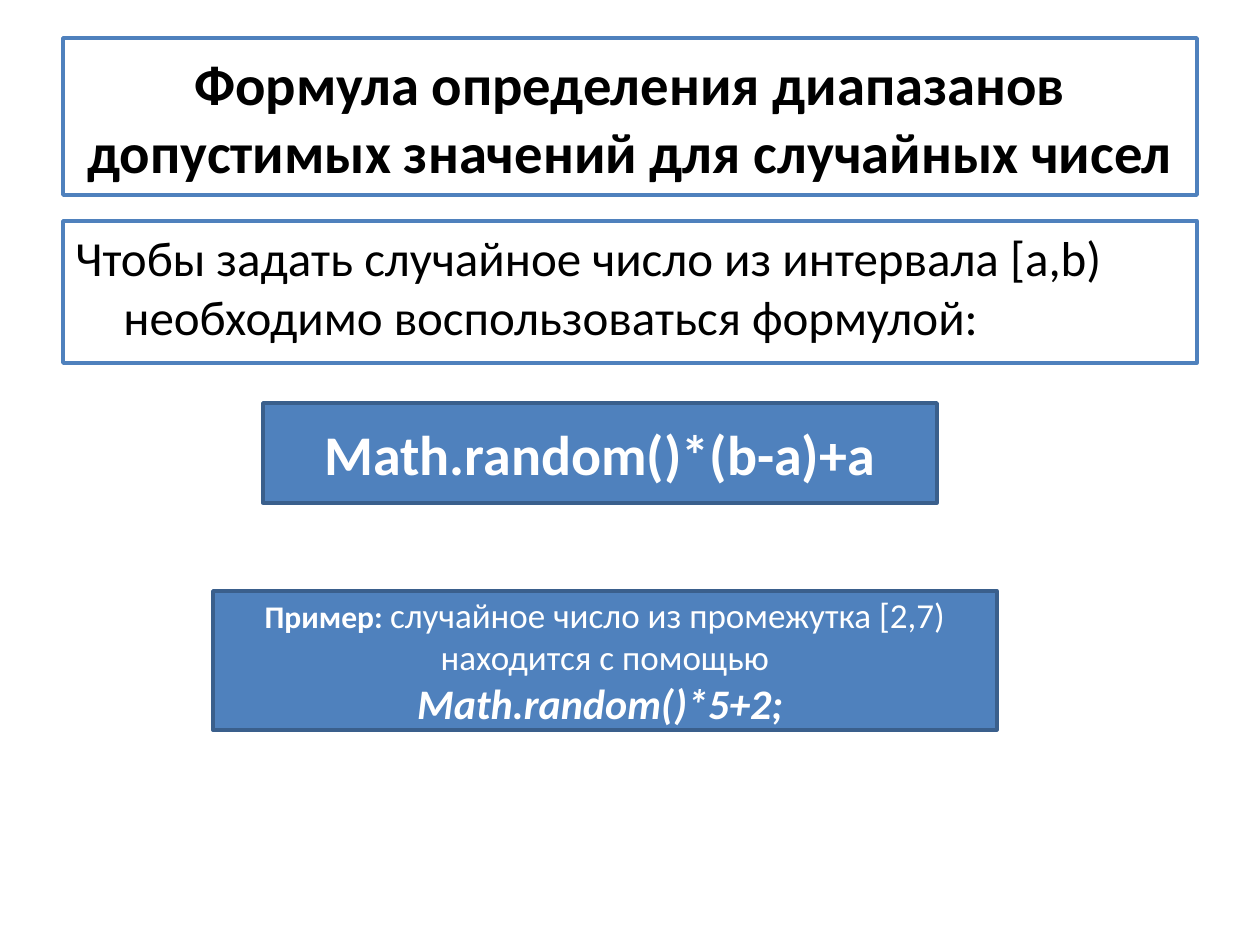
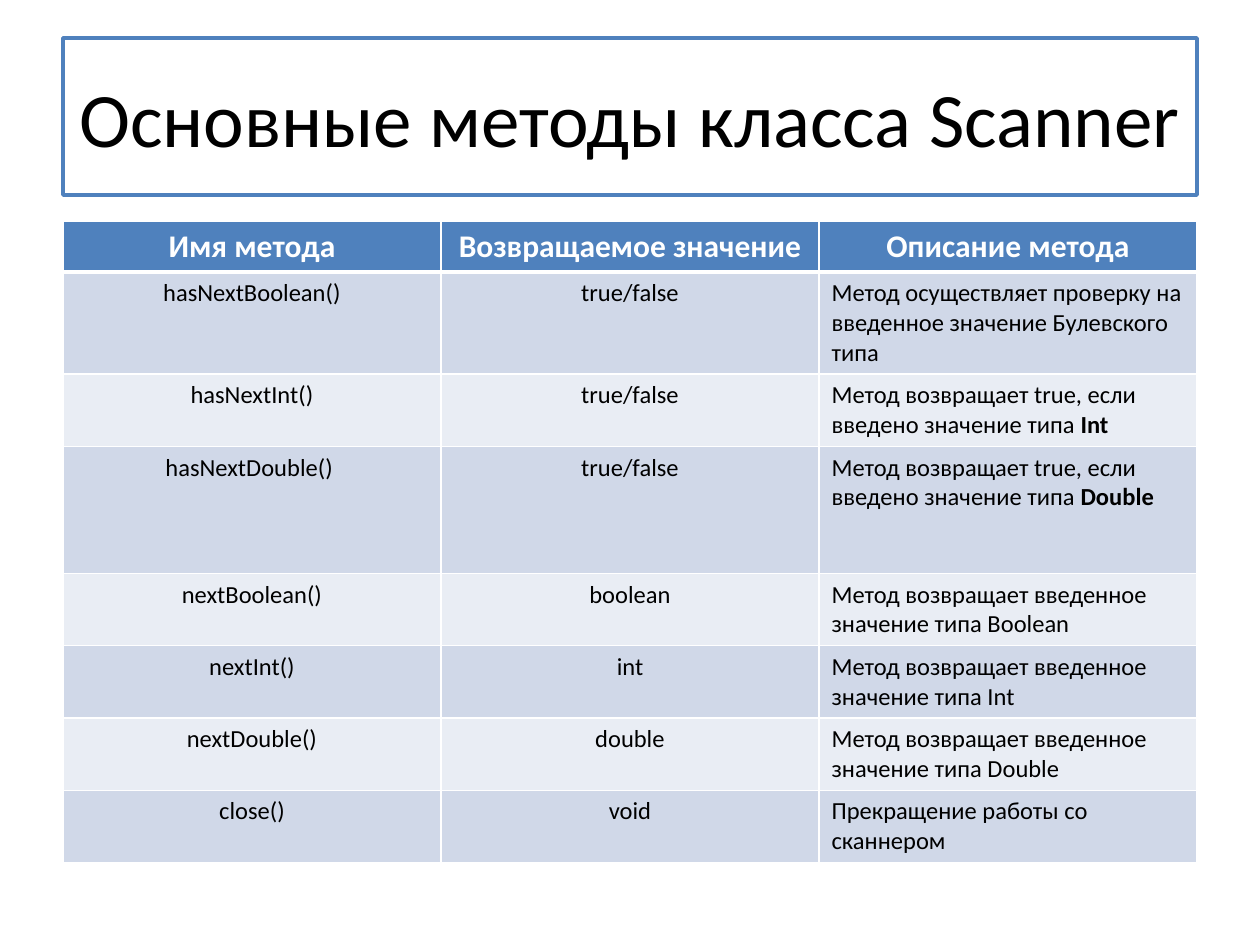
import pptx
import pptx.util
import pptx.dml.color
import pptx.enum.shapes
import pptx.enum.text
import pptx.oxml
import pptx.oxml.ns
from dataclasses import dataclass

ALIGN = pptx.enum.text.PP_ALIGN
ANCHOR = pptx.enum.text.MSO_ANCHOR


@dataclass(frozen=True)
class Theme:
    font: str = "Calibri"
    black: str = "000000"
    white: str = "FFFFFF"
    blue: str = "4F81BD"
    edge: str = "3A5F8C"
    bands: tuple = ("D0D8E8", "E9EDF4")
    title: float = 44
    long: float = 32.4
    body: float = 28
    code: float = 32
    sample: float = 20
    label: float = 18
    cell: float = 14
    line: float = 2


THEME = Theme()

# Shared layout, in px
LEFT, WIDTH = 63, 1134
HEAD_TOP, HEAD_HIGH = 38, 157
MAIN_TOP = 221
INDENT = 48

HEADS = ("Имя метода", "Возвращаемое значение", "Описание метода")
TEST = "Метод возвращает true, если введено значение типа "
READ = "Метод возвращает введенное значение типа "
METHODS = (
    ("hasNextBoolean()", "true/false",
     ["Метод осуществляет проверку на введенное значение Булевского типа"]),
    ("hasNextInt()", "true/false", [TEST, ("Int", True)]),
    ("hasNextDouble() ", "true/false", [TEST, ("Double", True)]),
    ("nextBoolean()", "boolean", [READ + "Boolean"]),
    ("nextInt()", "int", [READ + "Int"]),
    ("nextDouble()", "double", [READ + "Double"]),
    ("close()", "void", ["Прекращение работы со сканнером"]),
)
ROWS = (51, 102, 72, 127, 72, 72, 72, 72)


def px(count):
    return pptx.util.Emu(round(count * 914400 / 126))


def color(code):
    return pptx.dml.color.RGBColor.from_string(code)


def paint(shape, fill, line):
    shape.fill.solid()
    shape.fill.fore_color.rgb = color(fill)
    shape.line.color.rgb = color(line)
    shape.line.width = pptx.util.Pt(THEME.line)


def write(para, parts, size, tint, align=ALIGN.CENTER, bold=False, slant=False):
    """Fill a paragraph; a part is a text or a (text, bold, size) tuple."""
    para.alignment = align
    font = para.font
    font.name, font.size = THEME.font, pptx.util.Pt(size)
    font.bold, font.italic = bold, slant
    font.color.rgb = color(tint)
    for part in [parts] if isinstance(parts, str) else parts:
        run = para.add_run()
        if isinstance(part, str):
            run.text = part
            continue
        run.text, run.font.bold = part[:2]
        if len(part) > 2:
            run.font.size = pptx.util.Pt(part[2])


def add_slide(deck, text, size, bold=False):
    """Add a slide with a framed title."""
    slide = deck.slides.add_slide(deck.slide_layouts[5])
    title = slide.shapes.title
    title.left, title.top = px(LEFT), px(HEAD_TOP)
    title.width, title.height = px(WIDTH), px(HEAD_HIGH)
    paint(title, THEME.white, THEME.blue)
    frame = title.text_frame
    frame.auto_size = pptx.enum.text.MSO_AUTO_SIZE.NONE
    frame.vertical_anchor = ANCHOR.MIDDLE
    write(frame.paragraphs[0], text, size, THEME.black, bold=bold)
    return slide


def add_box(slide, area, fill, line, anchor=ANCHOR.MIDDLE):
    """Add a framed box and return its text frame."""
    kind = pptx.enum.shapes.MSO_SHAPE.RECTANGLE
    box = slide.shapes.add_shape(kind, *map(px, area))
    box.shadow.inherit = False
    paint(box, fill, line)
    frame = box.text_frame
    frame.word_wrap = True
    frame.vertical_anchor = anchor
    return frame


def add_rule(cell, side, width):
    """Draw one white border of a cell."""
    space = pptx.oxml.ns.nsdecls("a")
    cell._tc.get_or_add_tcPr().append(pptx.oxml.parse_xml(
        f'<a:ln{side} {space} w="{pptx.util.Pt(width)}"><a:solidFill>'
        f'<a:srgbClr val="{THEME.white}"/></a:solidFill></a:ln{side}>'))


def fill_cell(cell, parts, fill, size, tint, align, bold, top=1, base=1):
    for side, width in zip("LRTB", (1, 1, top, base)):
        add_rule(cell, side, width)
    cell.fill.solid()
    cell.fill.fore_color.rgb = color(fill)
    write(cell.text_frame.paragraphs[0], parts, size, tint, align, bold)


def add_grid(slide):
    """Add the table of methods with a heavy rule under its head."""
    area = (LEFT, MAIN_TOP, WIDTH, sum(ROWS))
    grid = slide.shapes.add_table(
        len(ROWS), len(HEADS), *map(px, area)).table
    for row, high in zip(grid.rows, ROWS):
        row.height = px(high)
    for col, text in enumerate(HEADS):
        grid.columns[col].width = px(WIDTH // len(HEADS))
        fill_cell(grid.cell(0, col), text, THEME.blue, THEME.label,
                  THEME.white, ALIGN.CENTER, True, base=3)
    aligns = (ALIGN.CENTER, ALIGN.CENTER, ALIGN.LEFT)
    for row, texts in enumerate(METHODS, 1):
        for col, (parts, align) in enumerate(zip(texts, aligns)):
            fill_cell(grid.cell(row, col), parts, THEME.bands[(row - 1) % 2],
                      THEME.cell, THEME.black, align, False,
                      top=3 if row == 1 else 1)


def range_slide(deck):
    slide = add_slide(
        deck, "Формула определения диапазанов допустимых значений "
        "для случайных чисел", THEME.long, bold=True)

    # Task with a hanging indent
    para = add_box(slide, (LEFT, MAIN_TOP, WIDTH, 142), THEME.white,
                   THEME.blue, ANCHOR.TOP).paragraphs[0]
    props = para._p.get_or_add_pPr()
    props.set("marL", str(px(INDENT)))
    props.set("indent", str(-px(INDENT)))
    write(para, "Чтобы задать случайное число из интервала [a,b) "
          "необходимо воспользоваться формулой:",
          THEME.body, THEME.black, ALIGN.LEFT)

    # Formula
    frame = add_box(slide, (263, 403, 674, 100), THEME.blue, THEME.edge)
    write(frame.paragraphs[0], "Math.random()*(b-a)+a",
          THEME.code, THEME.white, bold=True)

    # Example
    frame = add_box(slide, (213, 591, 784, 139), THEME.blue, THEME.edge)
    frame.margin_top = frame.margin_bottom = 0
    write(frame.paragraphs[0],
          [("Пример: ", True, THEME.label),
           "случайное число из промежутка [2,7) находится с помощью"],
          THEME.sample, THEME.white)
    write(frame.add_paragraph(), "Math.random()*5+2; ", 24, THEME.white,
          bold=True, slant=True)


def method_slide(deck):
    slide = add_slide(deck, "Основные методы класса Scanner", THEME.title)
    add_grid(slide)


def main():
    deck = pptx.Presentation()
    deck.slide_width, deck.slide_height = px(1260), px(945)
    range_slide(deck)
    method_slide(deck)
    deck.save("out.pptx")


if __name__ == "__main__":
    main()
